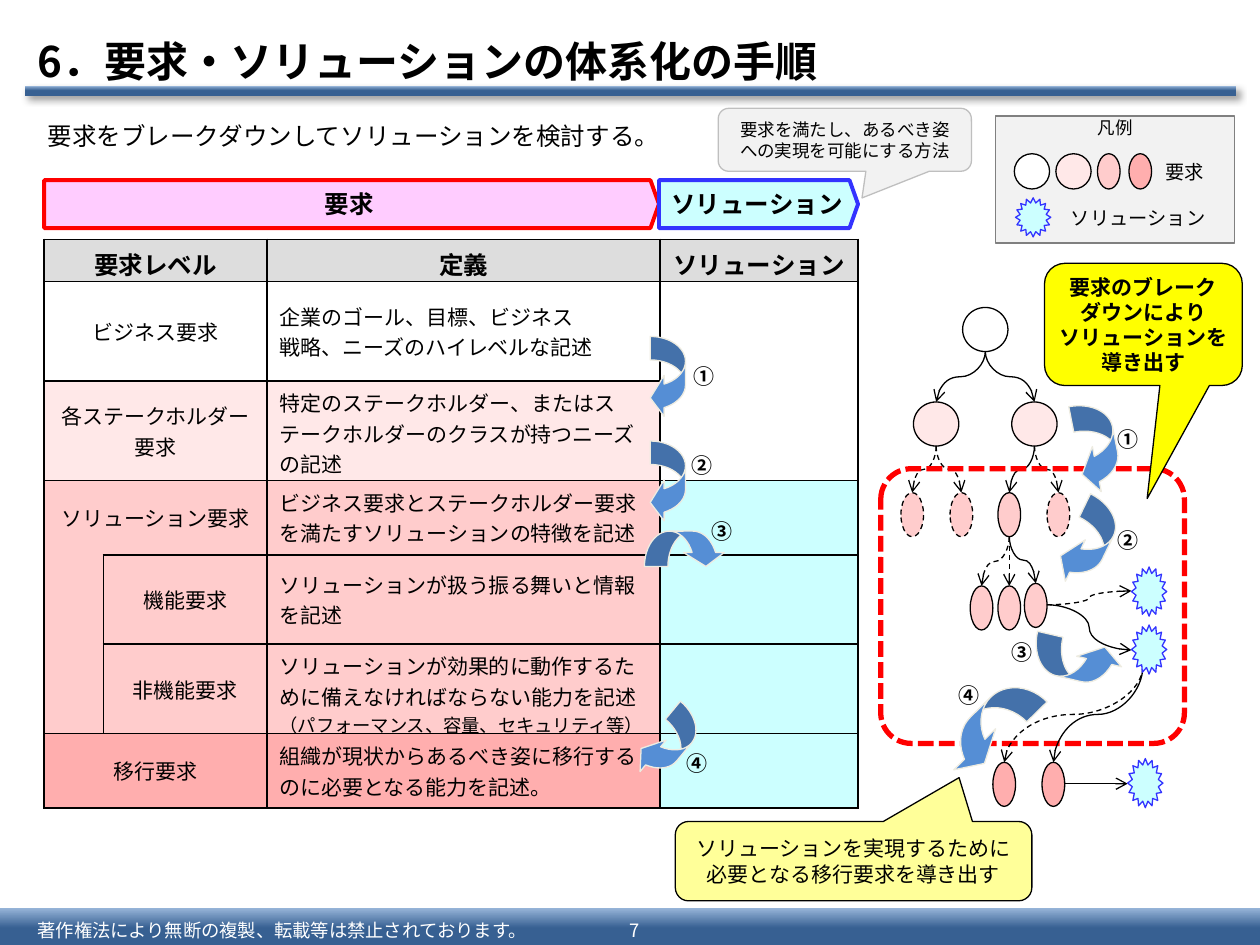
from lxml import etree
from pptx import Presentation, util as u
from pptx.dml.color import RGBColor as C
from pptx.enum import dml, shapes, text
from pptx.oxml.ns import qn

FACE = "Noto Sans CJK JP"
S, A, M = shapes.MSO_SHAPE, text.PP_ALIGN, text.MSO_ANCHOR
DASH = dml.MSO_LINE.DASH
BLACK, WHITE, RED = C(0, 0, 0), C(255, 255, 255), C(255, 0, 0)
GREY, PALE, SILVER, MID = C(221, 221, 221), C(242, 242, 242), C(191, 191, 191), C(128, 128, 128)
ROSE, PINK, CORAL = C(255, 232, 232), C(255, 204, 204), C(255, 174, 174)
LILAC, CYAN, INDIGO = C(255, 204, 255), C(204, 255, 255), C(51, 51, 255)
YELLOW, CREAM = C(255, 255, 0), C(255, 255, 153)
NAVY, SKY, BLUE, IVORY = C(55, 96, 146), C(149, 179, 215), C(85, 142, 213), C(238, 236, 225)

COLS = [0.47, 1.3, 3.12, 1.57]
ROWS = [0.33, 0.79, 0.79, 0.59, 0.71, 0.71, 0.59]
NOTE = "（パフォーマンス、容量、セキュリティ等）"
CELLS = [
    (0, 0, GREY, ["要求レベル"]), (0, 2, GREY, ["定義"]), (0, 3, GREY, ["ソリューション"]),
    (1, 0, WHITE, ["ビジネス要求"]),
    (1, 2, WHITE, ["企業のゴール、目標、ビジネス", "戦略、ニーズのハイレベルな記述"]),
    (1, 3, WHITE, []),
    (2, 0, ROSE, ["各ステークホルダー", "要求"]),
    (2, 2, ROSE, ["特定のステークホルダー、またはステークホルダーのクラスが持つニーズの記述"]),
    (3, 0, PINK, ["ソリューション要求"]),
    (3, 2, PINK, ["ビジネス要求とステークホルダー要求を満たすソリューションの特徴を記述"]),
    (3, 3, CYAN, []),
    (4, 0, PINK, []), (4, 1, PINK, ["機能要求"]),
    (4, 2, PINK, ["ソリューションが扱う振る舞いと情報を記述"]), (4, 3, CYAN, []),
    (5, 1, PINK, ["非機能要求"]),
    (5, 2, PINK, ["ソリューションが効果的に動作するために備えなければならない能力を記述"]),
    (5, 3, CYAN, []),
    (6, 0, CORAL, ["移行要求"]),
    (6, 2, CORAL, ["組織が現状からあるべき姿に移行するのに必要となる能力を記述。"]),
    (6, 3, CYAN, []),
]
SPANS = [(r, 0, r, 1) for r in (0, 1, 2, 3, 6)] + [(1, 3, 2, 3), (4, 0, 5, 0)]

TALL = 0.35
NODES = {
    "goal": (7.82, 2.44, 0.36, WHITE, None),
    "left": (7.43, 3.19, 0.36, ROSE, None), "right": (8.21, 3.19, 0.36, ROSE, None),
    "need1": (7.24, 3.91, 0.18, PINK, DASH), "need2": (7.63, 3.91, 0.18, PINK, DASH),
    "need3": (8.01, 3.91, 0.18, PINK, None), "need4": (8.4, 3.91, 0.18, PINK, DASH),
    "part1": (7.79, 4.65, 0.18, PINK, None), "part2": (8.01, 4.65, 0.18, PINK, None),
    "part3": (8.22, 4.63, 0.18, PINK, None),
    "move1": (7.97, 6.05, 0.18, CORAL, None), "move2": (8.36, 6.05, 0.18, CORAL, None),
}
LINKS = [
    ("goal", "left", None), ("goal", "right", None),
    ("left", "need1", DASH), ("left", "need2", DASH),
    ("right", "need3", None), ("right", "need4", DASH),
    ("need3", "part1", DASH), ("need3", "part2", DASH), ("need3", "part3", None),
]
SIDES = [(8.31, 4.8, 8.98, 5.16, None), (8.31, 4.8, 8.98, 4.69, DASH), (8.45, 6.22, 8.95, 6.22, None)]
SWOOPS = [
    (8.55, 3.19, 0.31, 0.73, 168.8, "V"), (8.48, 3.95, 0.31, 0.73, 205.8, "V"),
    (7.69, 5.31, 0.34, 0.93, 225.5, "HV"), (8.4, 4.88, 0.31, 0.73, 103.2, "HV"),
    (5.16, 2.67, 0.28, 0.65, 180, "V"), (5.16, 3.5, 0.28, 0.65, 180, "V"),
    (5.3, 4.03, 0.28, 0.65, 90, "V"), (5.16, 5.58, 0.28, 0.65, 219.7, "V"),
]
STARS = [(8.06, 1.57, 0.31), (8.98, 4.5, 0.39), (8.98, 4.96, 0.39), (8.95, 6.02, 0.39)]
KEYS = [(8.05, 0.28, WHITE), (8.38, 0.28, ROSE), (8.71, 0.18, PINK), (8.96, 0.18, CORAL)]
MARKS = [
    ("①", 8.77, 3.34), ("①", 5.41, 2.84), ("②", 8.77, 4.14), ("②", 5.39, 3.54),
    ("③", 7.93, 5.03), ("③", 5.55, 4.07), ("④", 7.51, 5.37), ("④", 5.35, 5.91),
]

deck = Presentation()
deck.slide_width, deck.slide_height = u.Inches(10), u.Inches(7.5)
page = deck.slides.add_slide(deck.slide_layouts[6])


def inch(*nums):
    return [u.Inches(n) for n in nums]


def write(frame, lines, size, bold=False, align=A.LEFT, color=BLACK):
    for i, line in enumerate(lines):
        para = frame.paragraphs[0] if i == 0 else frame.add_paragraph()
        para.add_run().text = line
        para.alignment = align
        font = para.font
        font.size, font.bold, font.name = u.Pt(size), bold, FACE
        font.color.rgb = color
        etree.SubElement(font._element, qn("a:ea")).set("typeface", FACE)


def setup(frame, pad, anchor, wrap=True):
    frame.margin_left = frame.margin_right = u.Inches(pad[0])
    frame.margin_top = frame.margin_bottom = u.Inches(pad[1])
    frame.vertical_anchor, frame.word_wrap = anchor, wrap


def label(box, line, size, bold=False, align=A.LEFT, color=BLACK, anchor=M.TOP, pad=(0.1, 0.05), wrap=True):
    frame = page.shapes.add_textbox(*inch(*box)).text_frame
    setup(frame, pad, anchor, wrap)
    write(frame, [line], size, bold, align, color)


def shape(kind, box, fill=None, edge=BLACK, width=0.75, dash=None, adj=()):
    item = page.shapes.add_shape(kind, *inch(*box))
    item.shadow.inherit = False
    if fill is None:
        item.fill.background()
    else:
        item.fill.solid()
        item.fill.fore_color.rgb = fill
    item.line.color.rgb, item.line.width = edge, u.Pt(width)
    if dash is not None:
        item.line.dash_style = dash
    for i, value in enumerate(adj):
        item.adjustments[i] = value
    return item


def bar(box):
    item = shape(S.RECTANGLE, box, NAVY)
    item.line.fill.background()
    item.fill.gradient()
    item.fill.gradient_angle = 90
    for stop, spot, color in zip(item.fill.gradient_stops, (0.5, 1), (NAVY, SKY)):
        stop.position, stop.color.rgb = spot, color
    return item


def curve(x1, y1, x2, y2, dash, turn=0):
    line = page.shapes.add_connector(shapes.MSO_CONNECTOR.CURVE, *inch(x1, y1, x2, y2))
    line.line.color.rgb, line.line.width = BLACK, u.Pt(0.75)
    if dash is not None:
        line.line.dash_style = dash
    props = line._element.spPr
    etree.SubElement(props.find(qn("a:ln")), qn("a:tailEnd")).set("type", "arrow")
    etree.SubElement(props, qn("a:effectLst"))
    if turn:
        props.find(qn("a:xfrm")).set("rot", str(turn * 60000))


def drop(x1, y1, x2, y2, dash):
    mx, my = (x1 + x2) / 2, (y1 + y2) / 2
    half, rise = (y2 - y1) / 2, abs(x2 - x1) / 2
    way, turn = (1, 90) if x2 <= x1 else (-1, 270)
    curve(mx - way * half, my - rise, mx + way * half, my + rise, dash, turn)


def border(cell, bare):
    props = cell._tc.get_or_add_tcPr()
    for i, side in enumerate("LRTB"):
        edge = etree.Element(qn("a:ln" + side), w="12700")
        if side in bare:
            etree.SubElement(edge, qn("a:noFill"))
        else:
            paint = etree.SubElement(edge, qn("a:solidFill"))
            etree.SubElement(paint, qn("a:srgbClr")).set("val", str(BLACK))
        props.insert(i, edge)


bar((0, 7.21, 10, 0.31))
rule = bar((0.2, 0.68, 9.61, 0.08))
glow = etree.SubElement(rule._element.spPr.find(qn("a:effectLst")), qn("a:outerShdw"),
                        blurRad="50800", dist="38100", dir="2700000", algn="tl", rotWithShape="0")
tint = etree.SubElement(glow, qn("a:srgbClr"), val=str(BLACK))
etree.SubElement(tint, qn("a:alpha"), val="40000")
label((0.2, 7.25, 4.25, 0.26), "著作権法により無断の複製、転載等は禁止されております。", 10.5,
      color=WHITE, anchor=M.MIDDLE, pad=(0.1, 0.04))
label((4.76, 7.25, 0.55, 0.26), "7", 10.5, align=A.CENTER, color=WHITE, anchor=M.MIDDLE, pad=(0.1, 0.04))
label((0.2, 0.21, 9.8, 0.54), "6．要求・ソリューションの体系化の手順", 24, True, anchor=M.MIDDLE)

table = page.shapes.add_table(len(ROWS), len(COLS), *inch(0.35, 1.9, sum(COLS), sum(ROWS))).table
table.first_row = table.horz_banding = False
for col, size in zip(table.columns, COLS):
    col.width = u.Inches(size)
for row, size in zip(table.rows, ROWS):
    row.height = u.Inches(size)
for r1, c1, r2, c2 in SPANS:
    table.cell(r1, c1).merge(table.cell(r2, c2))
for cell in table.iter_cells():
    cell.fill.background()
for r, c, fill, lines in CELLS:
    cell = table.cell(r, c)
    cell.fill.solid()
    cell.fill.fore_color.rgb = fill
    cell.vertical_anchor = M.MIDDLE if r else M.TOP
    write(cell.text_frame, lines, 12 if r else 14, r == 0, A.LEFT if r and c == 2 else A.CENTER)
note = table.cell(5, 2).text_frame.paragraphs[0].add_run()
note.text, note.font.size = NOTE, u.Pt(10.5)
for r in range(len(ROWS)):
    for c in range(len(COLS)):
        border(table.cell(r, c), {(3, 0): "B", (4, 0): "T"}.get((r, c), ""))

for x, y, w, fill, dash in NODES.values():
    shape(S.OVAL, (x - w / 2, y, w, TALL), fill, dash=dash)
for start, end, dash in LINKS:
    drop(NODES[start][0], NODES[start][1] + TALL, *NODES[end][:2], dash)
for side in SIDES:
    curve(*side)
shape(S.ROUNDED_RECTANGLE, (6.99, 3.72, 2.41, 2.18), None, RED, 3, dml.MSO_LINE.SQUARE_DOT, [0.111])
for goal, dash in (("move1", DASH), ("move2", None)):
    drop(9.07, 5.29, *NODES[goal][:2], dash)
for x, y, w, h, turn, flips in SWOOPS:
    swoop = shape(S.CURVED_RIGHT_ARROW, (x, y, w, h), BLUE, IVORY, adj=[0.665, 1.628, 0.394])
    swoop.rotation = turn
    for flip in flips:
        swoop._element.spPr.find(qn("a:xfrm")).set("flip" + flip, "1")

CALLS = [
    ((8.29, 2.09, 1.57, 0.97), (0.019, 1.425, 0.167), YELLOW, BLACK, 12, True,
     ["要求のブレーク", "ダウンにより", "ソリューションを", "導き出す"]),
    ((5.36, 6.52, 2.83, 0.63), (0.296, -1.053, 0.167), CREAM, BLACK, 12, False,
     ["ソリューションを実現するために", "必要となる移行要求を導き出す"]),
    ((5.7, 0.86, 2.01, 0.5), (0.068, 0.923, 0.167), PALE, SILVER, 10, False,
     ["要求を満たし、あるべき姿", "への実現を可能にする方法"]),
]
for box, adj, fill, edge, size, bold, lines in CALLS:
    call = shape(S.ROUNDED_RECTANGULAR_CALLOUT, box, fill, edge, adj=adj)
    setup(call.text_frame, (0.04, 0), M.MIDDLE)
    write(call.text_frame, lines, size, bold, A.CENTER)

label((0.28, 0.91, 9.58, 0.34), "要求をブレークダウンしてソリューションを検討する。", 14)
for x, w, fill, edge, word, align in [(0.35, 4.88, LILAC, RED, "要求", A.CENTER),
                                      (5.23, 1.58, CYAN, INDIGO, "ソリューション", A.LEFT)]:
    head = shape(S.PENTAGON, (x, 1.43, w, 0.38), fill, edge, 2.25, adj=[0.178])
    setup(head.text_frame, (0.1, 0.05), M.MIDDLE, False)
    write(head.text_frame, [word], 14, True, align)

key = shape(S.RECTANGLE, (7.9, 0.92, 1.9, 1.01), PALE, MID)
setup(key.text_frame, (0.04, 0.01), M.TOP, False)
write(key.text_frame, ["凡例"], 10, align=A.CENTER)
for x, w, fill in KEYS:
    shape(S.OVAL, (x, 1.22, w, 0.28), fill)
label((9.15, 1.22, 0.51, 0.29), "要求", 11, wrap=False)
label((8.4, 1.59, 1.28, 0.29), "ソリューション", 11, wrap=False)
for x, y, h in STARS:
    shape(S.STAR_16_POINT, (x, y, 0.28, h), CYAN, INDIGO)
for mark, x, y in MARKS:
    label((x, y, 0.37, 0.3), mark, 12, True)

deck.save("out.pptx")
